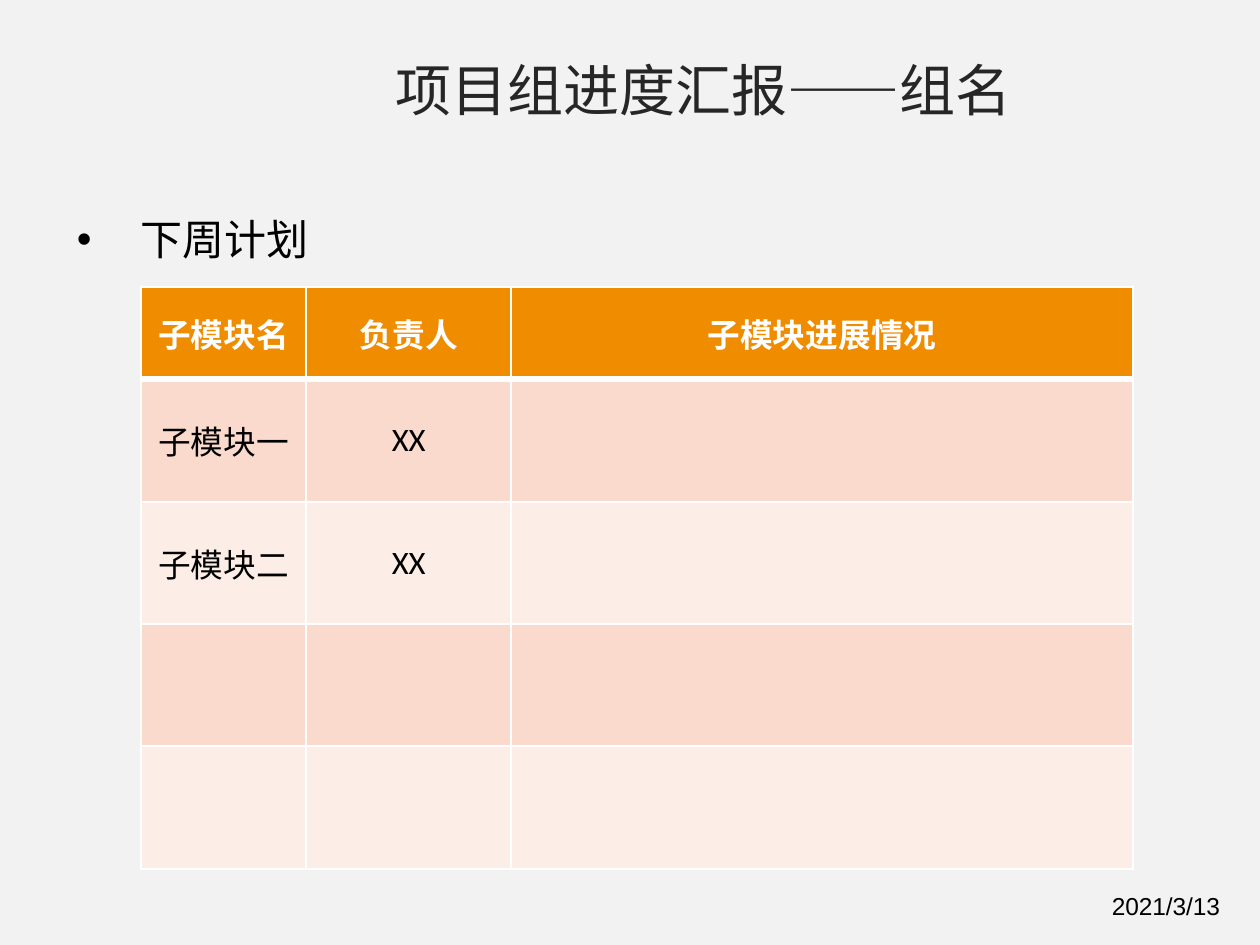
from lxml.etree import SubElement
from pptx import Presentation
from pptx.dml.color import RGBColor
from pptx.enum.text import MSO_ANCHOR, MSO_AUTO_SIZE, PP_ALIGN
from pptx.oxml.ns import qn
from pptx.util import Cm, Pt


def format_text(frame, size, font, color, bold=False, align=PP_ALIGN.LEFT):
    for para in frame.paragraphs:
        para.alignment = align
        for span in para.runs:
            span.font.size = Pt(size)
            span.font.name = font
            span.font.bold = bold
            span.font.color.rgb = RGBColor.from_string(color)
            SubElement(span.font._element, qn("a:ea"), typeface="Noto Sans CJK SC")


def add_border(cell, side, width):
    line = SubElement(cell._tc.get_or_add_tcPr(), qn("a:" + side), w=str(Pt(width)))
    fill = SubElement(line, qn("a:solidFill"))
    SubElement(fill, qn("a:srgbClr"), val="FFFFFF")


# Deck and page
deck = Presentation()
deck.slide_width, deck.slide_height = Cm(19.05), Cm(14.28)
page = deck.slides.add_slide(deck.slide_layouts[1])
page.background.fill.solid()
page.background.fill.fore_color.rgb = RGBColor.from_string("F2F2F2")

# Title
title = page.shapes.title
title.left, title.top, title.width, title.height = Cm(5.72), Cm(0.71), Cm(10.06), Cm(1.28)
title.text_frame.text = "项目组进度汇报——组名"
title.text_frame.word_wrap = False
title.text_frame.auto_size = MSO_AUTO_SIZE.NONE
title.text_frame.vertical_anchor = MSO_ANCHOR.MIDDLE
format_text(title.text_frame, 24, "Noto Sans CJK SC", "262626")

# Bulleted heading
body = page.placeholders[1]
body.left, body.top, body.width, body.height = Cm(0.91), Cm(3.1), Cm(5.21), Cm(1.24)
body.text_frame.text = "下周计划"
body.text_frame.auto_size = MSO_AUTO_SIZE.NONE
format_text(body.text_frame, 18, "Noto Sans CJK SC", "000000")
heading = body.text_frame.paragraphs[0]
heading.space_before = Pt(3.6)
properties = heading._p.get_or_add_pPr()
properties.set("marL", str(Cm(0.96)))
properties.set("indent", str(-Cm(0.96)))
SubElement(properties, qn("a:buFont"), typeface="Arial")
SubElement(properties, qn("a:buChar"), char="•")

# Plan table
rows = [
    ["子模块名", "负责人", "子模块进展情况"],
    ["子模块一", "XX", ""],
    ["子模块二", "XX", ""],
    ["", "", ""],
    ["", "", ""],
]
column_widths = [2.5, 3.1, 9.4]
row_heights = [1.4] + [1.85] * 4
plan = page.shapes.add_table(
    len(rows), len(column_widths), Cm(2.13), Cm(4.33),
    Cm(sum(column_widths)), Cm(sum(row_heights))).table
for column, width in zip(plan.columns, column_widths):
    column.width = Cm(width)
for row, height in zip(plan.rows, row_heights):
    row.height = Cm(height)
for row_index, texts in enumerate(rows):
    is_header = row_index == 0
    band = "F08C00" if is_header else ("FCEEE7", "F9DACC")[row_index % 2]
    for column_index, text in enumerate(texts):
        cell = plan.cell(row_index, column_index)
        cell.text = text
        cell.vertical_anchor = MSO_ANCHOR.MIDDLE
        cell.margin_left = cell.margin_right = Cm(0.18)
        cell.margin_top = cell.margin_bottom = Cm(0.1)
        format_text(cell.text_frame, 14, "Calibri", "FFFFFF" if is_header else "000000",
                    is_header, PP_ALIGN.CENTER)
        add_border(cell, "lnL", 1)
        add_border(cell, "lnR", 1)
        add_border(cell, "lnT", 3 if row_index == 1 else 1)
        add_border(cell, "lnB", 3 if is_header else 1)
        cell.fill.solid()
        cell.fill.fore_color.rgb = RGBColor.from_string(band)

# Date
date_box = page.shapes.add_textbox(Cm(16.56), Cm(13.34), Cm(2.49), Cm(0.71))
date_box.text_frame.text = "2021/3/13"
date_box.text_frame.word_wrap = True
format_text(date_box.text_frame, 10.5, "Arial", "000000")

deck.save("out.pptx")
